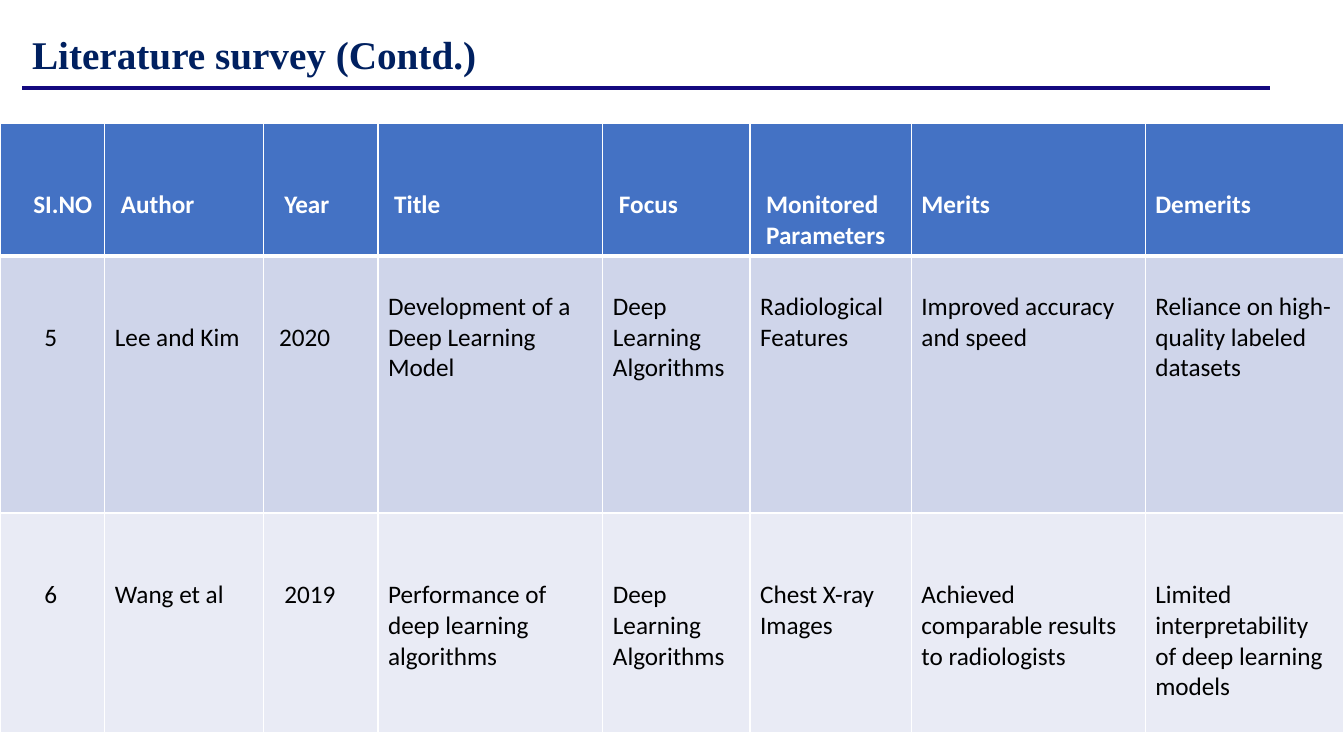
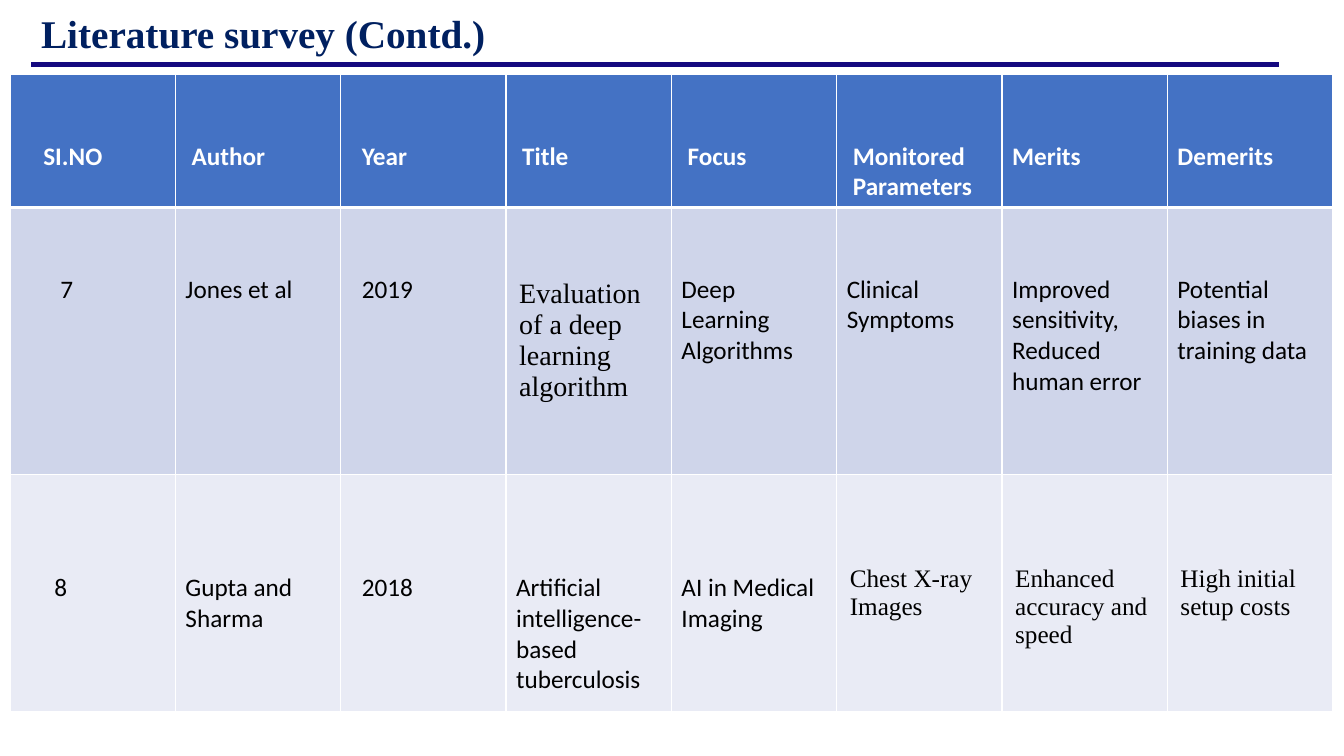
from lxml import etree
from pptx import Presentation
from pptx.dml.color import RGBColor
from pptx.enum.shapes import MSO_CONNECTOR
from pptx.enum.text import MSO_ANCHOR
from pptx.oxml.ns import qn
from pptx.util import Inches, Pt

STRAIGHT = MSO_CONNECTOR.STRAIGHT
TOP = MSO_ANCHOR.TOP

WHITE = RGBColor(0xFF, 0xFF, 0xFF)
BLACK = RGBColor(0x00, 0x00, 0x00)
TITLE_NAVY = RGBColor(0x00, 0x20, 0x60)
RULE_NAVY = RGBColor(0x14, 0x09, 0x7F)
HEADER_BLUE = RGBColor(0x44, 0x72, 0xC4)
BAND_DARK = RGBColor(0xCF, 0xD5, 0xEA)
BAND_LIGHT = RGBColor(0xE9, 0xEB, 0xF5)
ROW_FILLS = [HEADER_BLUE, BAND_DARK, BAND_LIGHT]

SANS, SERIF = "Calibri", "Times New Roman"
RULE_WIDTH = 12.38
HEADER_HEIGHT = 1.32

# Text starts one, two or three 18 pt lines below the top of its cell
LINE_1, LINE_2, LINE_3 = 0.35, 0.66, 0.97

HEADINGS = ["SI.NO", "Author", "Year", "Title", "Focus",
            "Monitored\nParameters", "Merits", "Demerits"]
HEADING_INDENTS = [0.33, 0.16, 0.21, 0.16, 0.16, 0.16, 0.1, 0.1]
BODY_INDENTS = [0.44, 0.1, 0.21, 0.1, 0.1, 0.1, 0.1, 0.1]

# "tops" gives the text start per body row; "special" holds cells that differ
SURVEYS = [
    {
        "title_top": 0.3, "rule": (0.22, 0.87), "table": (0, 1.22),
        "columns": [1.04, 1.57, 1.14, 2.23, 1.46, 1.6, 2.32, 1.97],
        "body_heights": [2.55, 2.18],
        "tops": [[LINE_2] * 3 + [LINE_1] * 5, [LINE_2] * 8],
        "rows": [
            ["5", "Lee and Kim", "2020", "Development of a Deep Learning Model",
             "Deep Learning Algorithms", "Radiological Features",
             "Improved accuracy and speed",
             "Reliance on high-quality labeled datasets"],
            ["6", "Wang et al", "2019",
             "Performance of deep learning algorithms",
             "Deep Learning Algorithms", "Chest X-ray Images",
             "Achieved comparable results to radiologists",
             "Limited interpretability of deep learning models"],
        ],
        "special": {(1, 2): {"left": 0.16}},
    },
    {
        "title_top": 0.09, "rule": (0.31, 0.64), "table": (0.1, 0.74),
        "columns": [1.64] * 8,
        "body_heights": [2.65, 2.35],
        "tops": [[LINE_2] * 8, [LINE_3] * 5 + [0.9] * 3],
        "rows": [
            ["7", "Jones et al", "2019",
             "Evaluation of a deep learning algorithm",
             "Deep Learning Algorithms", "Clinical Symptoms",
             "Improved sensitivity, Reduced human error",
             "Potential biases in training data"],
            ["8", "Gupta and Sharma", "2018",
             "Artificial intelligence-based tuberculosis",
             "AI in Medical Imaging", "Chest X-ray Images",
             "Enhanced accuracy and speed", "High initial setup costs"],
        ],
        "special": {
            (1, 0): {"left": 0.5},
            (1, 3): {"left": 0.13, "top": 0.7, "font": SERIF, "size": 20},
            **{(2, column): {"left": 0.13, "font": SERIF}
               for column in (5, 6, 7)},
        },
    },
]


def write_text(holder, frame, text, left=0.1, top=0.05, font=SANS, size=18,
               color=BLACK, bold=False):
    """Write text in a frame; the holder (cell or frame) carries the margins."""
    holder.margin_left, holder.margin_top = Inches(left), Inches(top)
    holder.margin_right, holder.margin_bottom = Inches(0.1), Inches(0.05)
    holder.vertical_anchor = TOP
    frame.word_wrap = True
    frame.text = text
    for paragraph in frame.paragraphs:
        face = paragraph.runs[0].font
        face.name, face.size, face.bold = font, Pt(size), bold
        face.color.rgb = color


def add_borders(cell, top, bottom):
    """Draw white cell borders, 1 pt at the sides."""
    properties = cell._tc.get_or_add_tcPr()
    for side, width in (("L", 1), ("R", 1), ("T", top), ("B", bottom)):
        line = etree.SubElement(properties, qn(f"a:ln{side}"), w=str(Pt(width)))
        fill = etree.SubElement(line, qn("a:solidFill"))
        etree.SubElement(fill, qn("a:srgbClr"), val=str(WHITE))


prs = Presentation()
prs.slide_width, prs.slide_height = Inches(13.33), Inches(7.5)

for survey in SURVEYS:
    slide = prs.slides.add_slide(prs.slide_layouts[6])
    rule_left, rule_top = survey["rule"]

    # Title
    title = slide.shapes.add_textbox(
        Inches(rule_left), Inches(survey["title_top"]),
        Inches(RULE_WIDTH), Inches(0.5)).text_frame
    write_text(title, title, "Literature survey (Contd.)", top=0, font=SERIF,
               size=28, color=TITLE_NAVY, bold=True)

    # Survey table
    table_left, table_top = survey["table"]
    heights = [HEADER_HEIGHT] + survey["body_heights"]
    table = slide.shapes.add_table(
        len(heights), len(HEADINGS), Inches(table_left), Inches(table_top),
        Inches(sum(survey["columns"])), Inches(sum(heights))).table
    table.horz_banding = False
    for column, width in zip(table.columns, survey["columns"]):
        column.width = Inches(width)
    for row, height in zip(table.rows, heights):
        row.height = Inches(height)

    tops = [[LINE_2] * len(HEADINGS)] + survey["tops"]
    for r, texts in enumerate([HEADINGS] + survey["rows"]):
        is_header = r == 0
        indents = HEADING_INDENTS if is_header else BODY_INDENTS
        for c, text in enumerate(texts):
            cell = table.cell(r, c)
            style = {"left": indents[c], "top": tops[r][c],
                     "color": WHITE if is_header else BLACK, "bold": is_header}
            style.update(survey["special"].get((r, c), {}))
            write_text(cell, cell.text_frame, text, **style)
            add_borders(cell, top=3 if r == 1 else 1,
                        bottom=3 if is_header else 1)
            cell.fill.solid()
            cell.fill.fore_color.rgb = ROW_FILLS[r]

    # Rule under the title
    rule = slide.shapes.add_connector(
        STRAIGHT, Inches(rule_left), Inches(rule_top),
        Inches(rule_left + RULE_WIDTH), Inches(rule_top))
    rule.line.color.rgb = RULE_NAVY
    rule.line.width = Pt(3)
    etree.SubElement(rule._element.spPr, qn("a:effectLst"))

prs.save("out.pptx")
